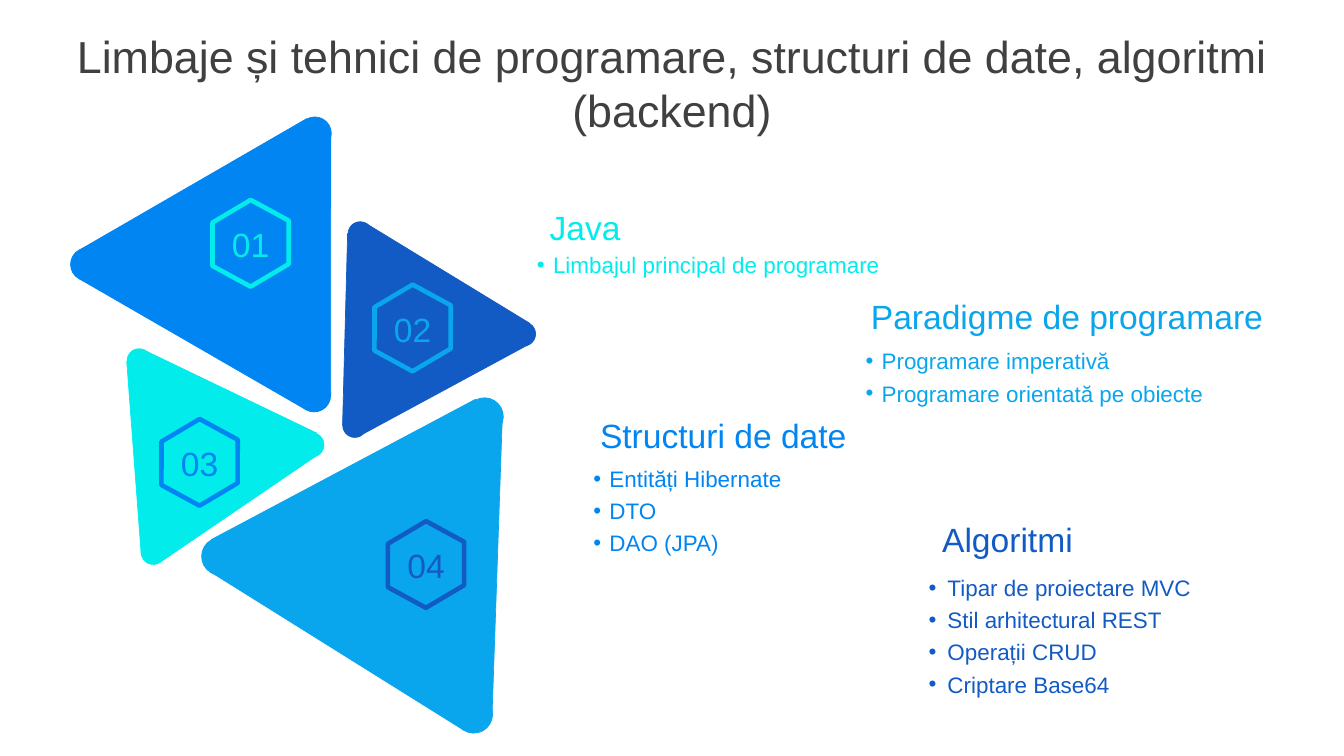
from math import cos, radians, sin

from lxml import etree
from pptx import Presentation
from pptx.dml.color import RGBColor
from pptx.enum.shapes import MSO_SHAPE
from pptx.enum.text import MSO_ANCHOR, PP_ALIGN
from pptx.oxml.ns import qn
from pptx.util import Emu, Pt

PX = 9144
FONT = "Arial"
CYAN, BLUE, NAVY, SKY, GREY = "02ECEC", "0085F2", "125AC4", "0AA6ED", "404040"
TRI, DOT = MSO_SHAPE.ISOSCELES_TRIANGLE, MSO_SHAPE.OVAL
LEFT, MID = PP_ALIGN.LEFT, PP_ALIGN.CENTER
TOP, CORE = MSO_ANCHOR.TOP, MSO_ANCHOR.MIDDLE

WEDGES = [
    (CYAN, 85.7, (286, 248), [(180, 548), (208, 561), (205, 530)],
     36, [(210, 804), (189, 519), (446, 644)]),
    (BLUE, 30, (391, 339), [(176, 196), (212, 175), (176, 154)],
     49, [(443, 564), (105, 369), (444, 174)]),
    (NAVY, 91.5, (285, 248), [(495, 369), (521, 385), (522, 354)],
     36, [(510, 615), (518, 330), (761, 479)]),
    (SKY, 32, (445, 385), [(381, 613), (423, 591), (383, 565)],
     56, [(677, 1035), (300, 800), (693, 592)]),
]
BADGES = [
    ("01", 373, 362, CYAN), ("03", 297, 688, BLUE),
    ("04", 634, 840, NAVY), ("02", 614, 488, SKY),
]
TOPICS = [
    ("Java", CYAN, (818, 296, 372, 61), (776, 366, 563, 40), (47, 24),
     ["Limbajul principal de programare"]),
    ("Paradigme de programare", SKY, (1296, 429, 610, 61),
     (1265, 509, 540, 89), (47, 24),
     ["Programare imperativă", "Programare orientată pe obiecte"]),
    ("Structuri de date", BLUE, (893, 606, 416, 61),
     (860, 684, 423, 137), (47, 24),
     ["Entități Hibernate", "DTO", "DAO (JPA)"]),
    ("Algoritmi", NAVY, (1402, 760, 372, 61),
     (1353, 846, 623, 186), (57, 28),
     ["Tipar de proiectare MVC", "Stil arhitectural REST",
      "Operații CRUD", "Criptare Base64"]),
]


def paint(code):
    """Turn a hex string into a colour."""
    return RGBColor.from_string(code)


def ring(x, y, size, turns):
    """Give points around a centre, slightly flattened."""
    return [((x + size * cos(radians(t))) * PX,
             (y + size * 0.97 * sin(radians(t))) * PX) for t in turns]


class Deck:
    """Hold the style and the current slide."""

    def __init__(self, wide, high):
        """Start a deck with one blank slide."""
        self.file = Presentation()
        self.file.slide_width = Emu(wide * PX)
        self.file.slide_height = Emu(high * PX)
        self.slide = self.file.slides.add_slide(self.file.slide_layouts[6])

    def shape(self, home, kind, box, color, turn):
        """Add a filled preset shape."""
        item = home.add_shape(kind, *(Emu(n * PX) for n in box))
        item.rotation = turn
        item.shadow.inherit = False
        item.fill.solid()
        item.fill.fore_color.rgb = paint(color)
        item.line.color.rgb = paint(color)
        item.line.width = Pt(0.75)

    def wedge(self, color, turn, size, spots, dot, ends):
        """Add a triangle with round corners."""
        home = self.slide.shapes.add_group_shape().shapes
        for spot in spots:
            self.shape(home, TRI, (*spot, *size), color, turn)
        for end in ends:
            self.shape(home, DOT, (*end, dot, dot), color, turn)

    def badge(self, label, x, y, color):
        """Add a hollow hexagon with its number."""
        outer = ring(x, y, 69, [60 * k + d for k in range(6) for d in (-1.5, 1.5)])
        inner = ring(x, y, 62, range(360, 0, -60))
        pen = self.slide.shapes.build_freeform(*outer[0])
        pen.add_line_segments(outer[1:])
        pen.move_to(*inner[0])
        pen.add_line_segments(inner[1:])
        item = pen.convert_to_shape()
        item.rotation = 329.3
        item.shadow.inherit = False
        item.fill.solid()
        item.fill.fore_color.rgb = paint(color)
        item.line.fill.background()
        self.text((x - 35, y - 41, 70, 61), [label], 36, color, MID)

    def text(self, box, lines, size, color, align=LEFT, space=1.2,
             anchor=TOP, indent=None):
        """Add a text box, with bullets when an indent is given."""
        frame = self.slide.shapes.add_textbox(*(Emu(n * PX) for n in box)).text_frame
        frame.word_wrap = True
        frame.vertical_anchor = anchor
        frame.margin_left = frame.margin_right = 0
        frame.margin_top = frame.margin_bottom = 0
        for num, line in enumerate(lines):
            para = frame.add_paragraph() if num else frame.paragraphs[0]
            para.text = line
            para.alignment = align
            para.line_spacing = space
            if indent:
                self.bullet(para, color, *indent)
            para.font.name = FONT
            para.font.size = Pt(size)
            para.font.color.rgb = paint(color)

    def bullet(self, para, color, left, hang):
        """Give a paragraph a coloured bullet."""
        props = para._p.get_or_add_pPr()
        props.set("marL", str(left * PX))
        props.set("indent", str(-hang * PX))
        tint = etree.SubElement(props, qn("a:buClr"))
        etree.SubElement(tint, qn("a:srgbClr"), val=color)
        etree.SubElement(props, qn("a:buFont"), typeface=FONT)
        etree.SubElement(props, qn("a:buChar"), char="•")


def main():
    """Build and save the slide."""
    deck = Deck(2000, 1125)
    for wedge in WEDGES:
        deck.wedge(*wedge)
    deck.text((0, 44, 2000, 157),
              ["Limbaje și tehnici de programare, structuri de date, algoritmi",
               "(backend)"], 48, GREY, MID, 1.0, CORE)
    for badge in BADGES:
        deck.badge(*badge)
    for name, color, head, body, indent, lines in TOPICS:
        deck.text(head, [name], 36, color)
        deck.text(body, lines, 24, color, indent=indent)
    deck.file.save("out.pptx")


if __name__ == "__main__":
    main()
